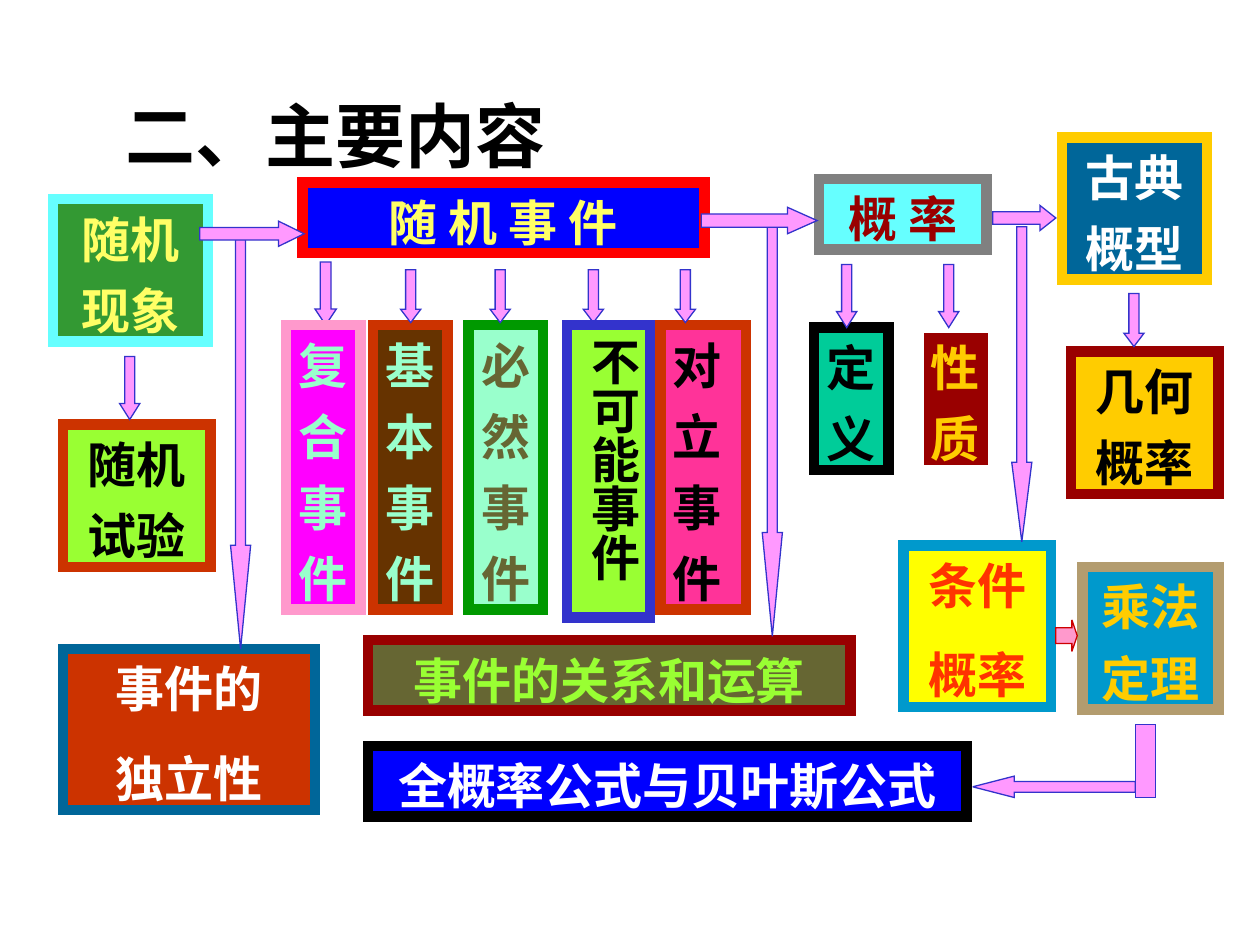
from pptx import Presentation
from pptx.util import Inches, Pt
from pptx.dml.color import RGBColor
from pptx.enum.shapes import MSO_SHAPE
from pptx.enum.text import MSO_ANCHOR, PP_ALIGN
from lxml.etree import SubElement
from pptx.oxml.ns import qn

SERIF, SANS = "Times New Roman", "Noto Sans CJK SC"
COLORS = {
    "black": "000000", "white": "FFFFFF", "gray": "808080", "tan": "B39C6F",
    "green": "339933", "leaf": "009900", "lime": "99FF33", "jade": "00CC99",
    "mint": "99FFCC", "olive": "666633", "aqua": "66FFFF", "sky": "0099CC",
    "sea": "006699", "blue": "0000FF", "navy": "3333CC", "red": "FF0000",
    "flame": "FF3300", "rust": "CC3300", "wine": "990000", "cherry": "CC0000",
    "brown": "663300", "gold": "FFCC00", "yellow": "FFFF00", "lemon": "FFFF66",
    "pink": "FF99FF", "rose": "FF99CC", "hot": "FF3399", "magenta": "FF00FF",
}
TITLE = "二、主要内容"

WIDE = [
    ("随机|现象", 0.42, 1.58, 1.23, 7, "green", "aqua", "lemon", SERIF),
    ("随机|试验", 0.5, 3.37, 1.17, 7, "lime", "rust", "black", SANS),
    ("事件的|独立性", 0.5, 5.15, 2, 17.5, "rust", "sea", "white", SANS),
    ("随 机 事 件", 2.4, 1.45, 3.19, 7, "blue", "red", "lemon", SANS),
    ("概 率", 6.5, 1.42, 1.33, 7, "aqua", "gray", "wine", SANS),
    ("古典|概型", 8.43, 1.09, 1.15, 7, "sea", "gold", "white", SANS),
    ("几何|概率", 8.5, 2.79, 1.17, 7, "gold", "wine", "black", SERIF),
    ("乘法|定理", 8.59, 4.5, 1.08, 7, "sky", "tan", "gold", SERIF),
    ("事件的关系和运算", 2.92, 5.08, 3.83, 7, "olive", "wine", "lime", SERIF),
    ("全概率公式与贝叶斯公式", 2.92, 5.92, 4.75, 7, "blue", "black", "white", SERIF),
    ("条件|概率", 7.17, 4.33, 1.17, 17.5, "yellow", "sky", "flame", SERIF),
]
TALL = [
    ("基本事件", 2.96, 2.58, 0.59, "brown", "rust", "mint"),
    ("必然事件", 3.72, 2.58, 0.59, "mint", "leaf", "olive"),
    ("对立事件", 5.24, 2.58, 0.68, "hot", "rust", "black"),
    ("性质", 7.29, 2.6, 0.59, "wine", "white", "gold"),
    ("定义", 6.46, 2.6, 0.59, "jade", "black", "black"),
]
FRONT = ("复合事件", 2.27, 2.58, 0.59, "magenta", "rose", "mint")

ARROWS = [
    (6.05, 1.8, 0.16, 3.25, 5.15, 0), (5.92, 1.29, 0.21, 0.92, 1.12, 270),
    (8.03, 1.48, 0.2, 0.5, 0.63, 270), (0.95, 2.83, 0.16, 0.5, 0.79, 0),
    (1.83, 1.9, 0.16, 3.25, 5.15, 0), (1.9, 1.44, 0.2, 0.83, 1.02, 270),
    (8.92, 2.33, 0.16, 0.42, 0.66, 0), (8.28, 5.6, 0.17, 1.29, 1.94, 90),
    (8.03, 1.8, 0.16, 2.5, 3.95, 0), (2.5, 2.08, 0.17, 0.5, 0.75, 0),
]
ARROWS += [(x, 2.14, 0.16, 0.42, 0.66, 0) for x in (3.18, 3.89, 4.63, 5.36)]
ARROWS += [(x, 2.1, 0.16, 0.5, 0.79, 0) for x in (6.64, 7.45)]

deck = Presentation()
deck.slide_width, deck.slide_height = Inches(10), Inches(7.5)
slide = deck.slides.add_slide(deck.slide_layouts[6])


def color(name):
    return RGBColor.from_string(COLORS[name])


def shape(kind, spot, fill, line, width):
    item = slide.shapes.add_shape(kind, *map(Inches, spot))
    item.shadow.inherit = False
    item.fill.solid()
    item.fill.fore_color.rgb = color(fill)
    item.line.color.rgb = color(line)
    item.line.width = Pt(width)
    edge = item._element.spPr.find(qn("a:ln"))
    SubElement(edge, qn("a:miter")).set("lim", "800000")
    return item


def write(item, lines, ink, font, size, para, anchor=MSO_ANCHOR.TOP,
          inset=(0.1, 0.08, 0.1, 0.02)):
    frame = item.text_frame
    look = {"word_wrap": True, "vertical_anchor": anchor}
    for side, value in zip(("left", "top", "right", "bottom"), inset):
        look["margin_" + side] = Inches(value)
    for key, value in look.items():
        setattr(frame, key, value)
    for spot, line in enumerate(lines):
        part = frame.add_paragraph() if spot else frame.paragraphs[0]
        for key, value in para.items():
            setattr(part, key, value)
        run = part.add_run()
        run.text = line
        for key, value in {"name": font, "size": Pt(size), "bold": True}.items():
            setattr(run.font, key, value)
        run.font.color.rgb = color(ink)
        SubElement(run.font._element, qn("a:ea")).set("typeface", SANS)


def box(lines, left, top, width, gap, fill, edge, ink, font, align):
    high = round(0.565 * len(lines) + (0.15 if gap > 7 else 0), 2)
    item = shape(MSO_SHAPE.RECTANGLE, (left, top, width, high), fill, edge, 6)
    para = {"alignment": align, "space_before": Pt(gap), "line_spacing": Pt(33.6)}
    write(item, lines, ink, font, 28, para)


def column(text, left, top, width, fill, edge, ink):
    box(list(text), left, top, width, 7, fill, edge, ink, SERIF, PP_ALIGN.LEFT)


def arrow(left, top, width, high, head, turn, fill="pink", edge="navy"):
    item = shape(MSO_SHAPE.DOWN_ARROW, (left, top, width, high), fill, edge, 0.74)
    item.adjustments[0], item.adjustments[1] = 0.5, head
    item.rotation = turn


title = slide.shapes.add_textbox(*map(Inches, (0.9, 0.67, 8.5, 0.77)))
write(title, [TITLE], "black", SERIF, 40,
      {"alignment": PP_ALIGN.LEFT, "space_before": Pt(10), "line_spacing": Pt(46)},
      MSO_ANCHOR.MIDDLE)

for text, *rest in WIDE:
    box(text.split("|"), *rest, PP_ALIGN.CENTER)
for row in TALL:
    column(*row)
for row in ARROWS:
    arrow(*row)
arrow(8.34, 4.96, 0.25, 0.17, 0.25, 270, "rose", "cherry")
shape(MSO_SHAPE.RECTANGLE, (9.01, 5.75, 0.16, 0.58), "pink", "navy", 0.74)

never = shape(MSO_SHAPE.RECTANGLE, (4.5, 2.58, 0.66, 2.32), "lime", "navy", 6)
write(never, ["不可能事件"], "black", SERIF, 28,
      {"alignment": PP_ALIGN.CENTER, "line_spacing": Pt(33.6)},
      inset=(0.05, 0.1, 0.05, 0.1))
never.text_frame._txBody.bodyPr.set("vert", "eaVert")
column(*FRONT)

deck.save("out.pptx")
